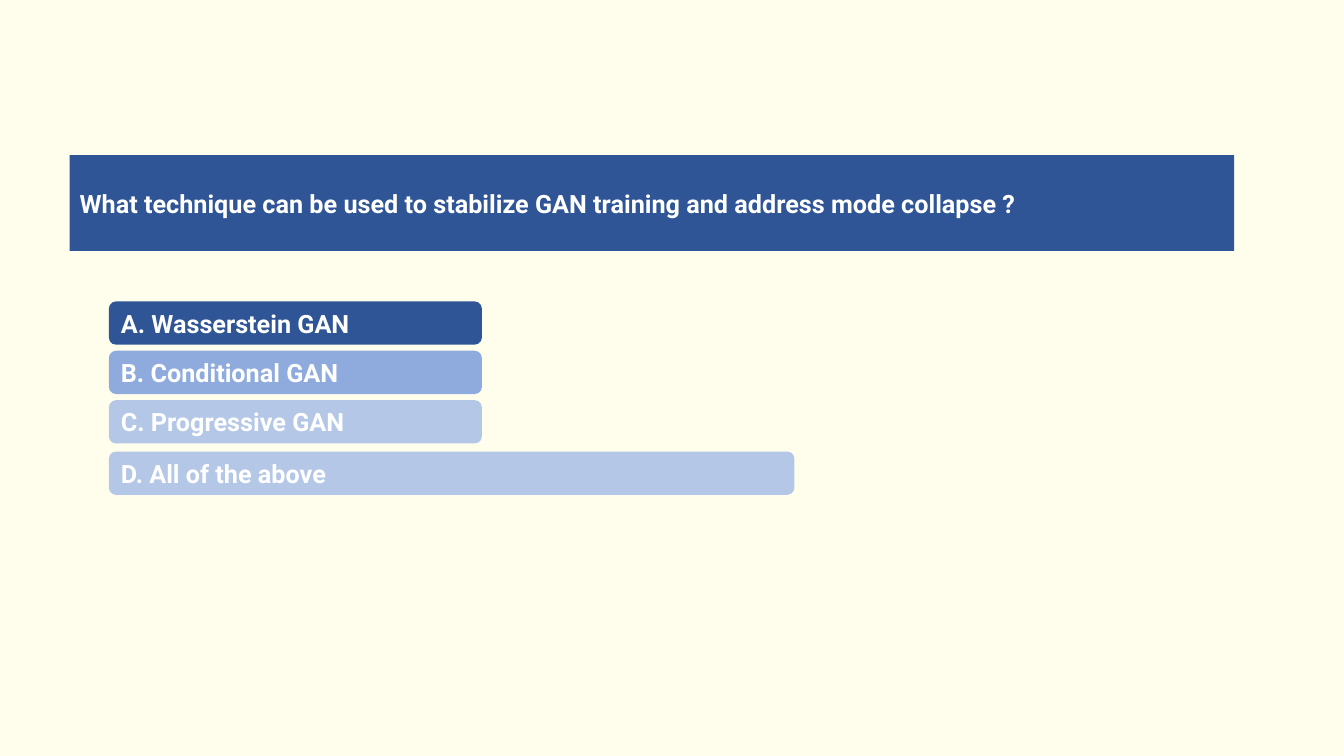
"""Build a quiz slide with one question and four answer bars."""
from lxml import etree
from pptx import Presentation
from pptx.dml.color import RGBColor
from pptx.enum.shapes import MSO_SHAPE
from pptx.enum.text import MSO_ANCHOR, MSO_AUTO_SIZE, PP_ALIGN
from pptx.oxml.ns import qn
from pptx.util import Inches, Pt

CREAM = RGBColor(0xFF, 0xFE, 0xED)
NAVY = RGBColor(0x2F, 0x55, 0x97)
BLUE = RGBColor(0x8F, 0xAA, 0xDC)
PALE = RGBColor(0xB4, 0xC7, 0xE7)
WHITE = RGBColor(0xFF, 0xFF, 0xFF)


class QuizSlide:
    font = "Roboto"
    size = Pt(18)

    def __init__(self, prs):
        self.slide = prs.slides.add_slide(prs.slide_layouts[5])
        fill = self.slide.background.fill
        fill.solid()
        fill.fore_color.rgb = CREAM

    def style(self, sp, text, color):
        sp.fill.solid()
        sp.fill.fore_color.rgb = color
        sp.line.fill.background()
        tf = sp.text_frame
        tf.text = text
        tf.word_wrap = True
        tf.auto_size = MSO_AUTO_SIZE.NONE
        tf.vertical_anchor = MSO_ANCHOR.MIDDLE
        p = tf.paragraphs[0]
        p.alignment = PP_ALIGN.LEFT
        p.font.name = self.font
        p.font.size = self.size
        p.font.bold = True
        p.font.color.rgb = WHITE

    def question(self, text, left, top, width, height):
        sp = self.slide.shapes.title
        sp.left, sp.top = Inches(left), Inches(top)
        sp.width, sp.height = Inches(width), Inches(height)
        geom = etree.SubElement(sp.element.spPr, qn("a:prstGeom"), prst="roundRect")
        etree.SubElement(geom, qn("a:avLst"))
        self.style(sp, text, NAVY)

    def answer(self, text, color, left, top, width, height):
        box = [Inches(v) for v in (left, top, width, height)]
        sp = self.slide.shapes.add_shape(MSO_SHAPE.ROUNDED_RECTANGLE, *box)
        sp.shadow.inherit = False
        self.style(sp, text, color)


prs = Presentation()
prs.slide_width, prs.slide_height = Inches(13.33), Inches(7.5)
s = QuizSlide(prs)
s.question("What technique can be used to stabilize GAN training and address mode collapse ?",
           0.69, 1.54, 11.55, 0.95)
answers = [
    ("A. Wasserstein GAN", NAVY, 2.99, 3.7),
    ("B. Conditional GAN", BLUE, 3.48, 3.7),
    ("C. Progressive GAN", PALE, 3.97, 3.7),
    ("D. All of the above", PALE, 4.48, 6.8),
]
for text, color, top, width in answers:
    s.answer(text, color, 1.08, top, width, 0.43)
prs.save("out.pptx")
